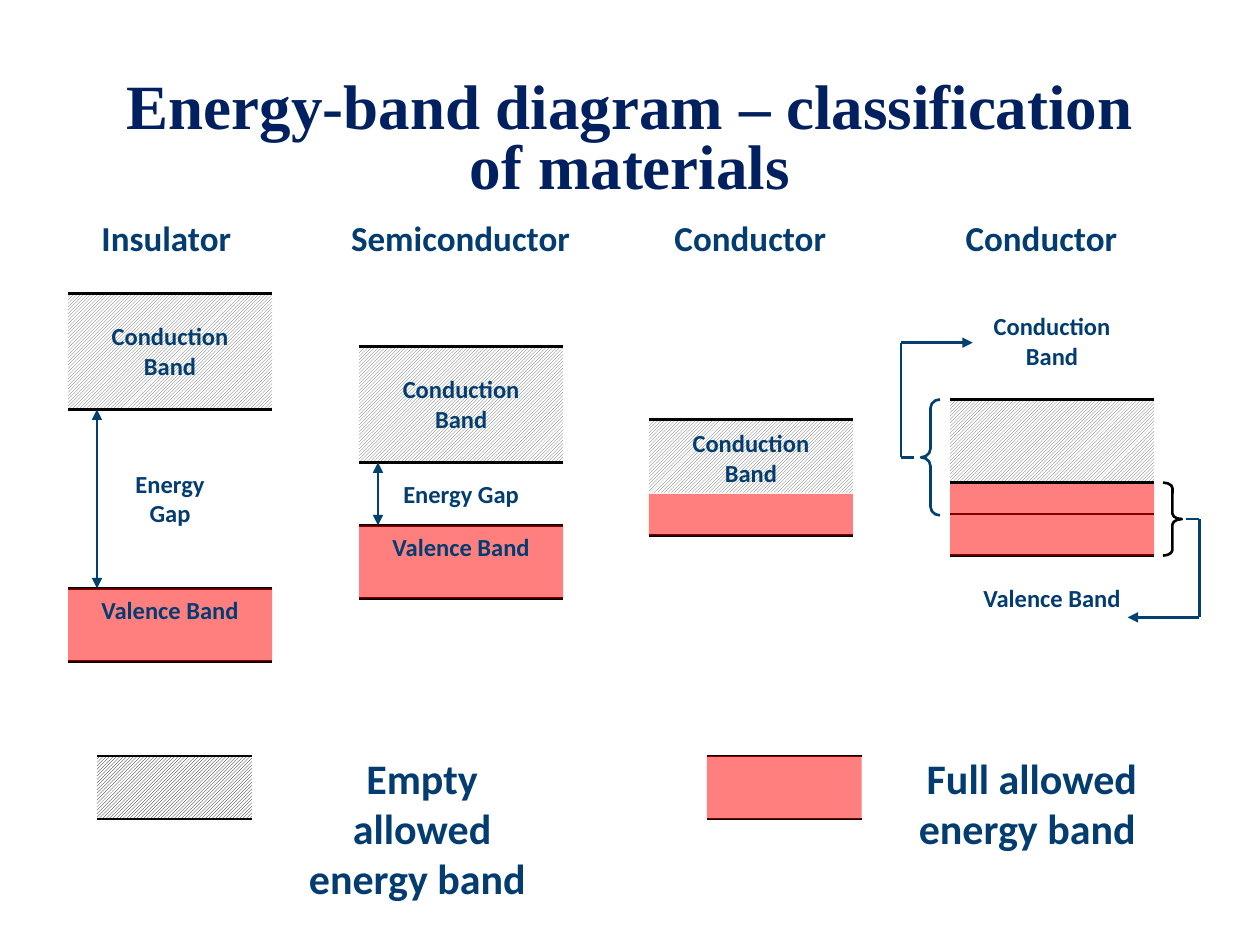
from itertools import pairwise

from lxml import etree
from pptx import Presentation
from pptx.dml.color import RGBColor
from pptx.enum.dml import MSO_PATTERN
from pptx.enum.shapes import MSO_CONNECTOR, MSO_SHAPE
from pptx.enum.text import MSO_ANCHOR, MSO_AUTO_SIZE, PP_ALIGN
from pptx.oxml.ns import qn
from pptx.util import Inches, Pt

STRAIGHT = MSO_CONNECTOR.STRAIGHT
RECTANGLE = MSO_SHAPE.RECTANGLE
LEFT_BRACE, RIGHT_BRACE = MSO_SHAPE.LEFT_BRACE, MSO_SHAPE.RIGHT_BRACE
HATCH = MSO_PATTERN.LIGHT_UPWARD_DIAGONAL
CENTER = PP_ALIGN.CENTER
MIDDLE, TOP = MSO_ANCHOR.MIDDLE, MSO_ANCHOR.TOP
GROW, FIXED = MSO_AUTO_SIZE.SHAPE_TO_FIT_TEXT, MSO_AUTO_SIZE.NONE

NAVY, LABEL, ARROW = "002060", "023C70", "004172"
BLACK, WHITE, GRAY, RED = "000000", "FFFFFF", "5F5F5F", "FF0000"

# Content
TITLE = "Energy-band diagram – classification of materials"
HEADINGS = [  # text, left, width
    ("Insulator", 0.54, 1.56),
    ("Semiconductor", 2.54, 2.23),
    ("Conductor", 5.15, 1.61),
    ("Conductor", 7.46, 1.61),
]
BAND_W, LABEL_W, LABEL_H = 1.62, 1.31, 0.57
CONDUCTION_H, VALENCE_H = 0.92, 0.58
GAPPED = [  # column left, conduction top, valence top, arrow x, gap label box
    (0.54, 2.33, 4.67, 0.77, (0.85, 3.67, 1, 0.57)),
    (2.85, 2.75, 4.17, 3.0, (2.85, 3.75, 1.62, 0.33)),
]
PARTLY_FILLED_X, OVERLAP_X = 5.15, 7.54
LEGEND_TOP, LEGEND_W, LEGEND_H = 6, 1.23, 0.5
LEGEND = [  # text, swatch left, text left, full band
    ("Empty allowed energy band ", 0.77, 2.31, False),
    ("Full allowed energy band ", 5.61, 7.15, True),
]

prs = Presentation()
prs.slide_width, prs.slide_height = Inches(10), Inches(7.5)
shapes = prs.slides.add_slide(prs.slide_layouts[6]).shapes


def rgb(value):
    return RGBColor.from_string(value)


def add_text(text, box, size, color=LABEL, font="Calibri", anchor=TOP,
             fit=GROW, spacing=None):
    frame = shapes.add_textbox(*map(Inches, box)).text_frame
    frame.word_wrap = True
    frame.auto_size = fit
    frame.vertical_anchor = anchor
    paragraph = frame.paragraphs[0]
    paragraph.alignment = CENTER
    paragraph.line_spacing = spacing
    run = paragraph.add_run()
    run.text = text
    run.font.size, run.font.bold, run.font.name = Pt(size), True, font
    run.font.color.rgb = rgb(color)


def add_line(start, end, color=BLACK, arrows=()):
    line = shapes.add_connector(STRAIGHT, *map(Inches, (*start, *end)))
    line.line.color.rgb = rgb(color)
    line.line.width = Pt(1.5)
    ln = line.line._get_or_add_ln()
    for arrow in arrows:
        etree.SubElement(ln, qn(f"a:{arrow}"), type="triangle")
    etree.SubElement(line._element.spPr, qn("a:effectLst"))


def add_edges(left, width, *levels):
    for y in levels:
        add_line((left, y), (left + width, y))


def add_route(*points):
    """Bent line whose last leg carries an arrowhead."""
    for start, end in pairwise(points):
        add_line(start, end, ARROW, ["tailEnd"] if end == points[-1] else [])


def add_block(left, top, width, height):
    block = shapes.add_shape(RECTANGLE, *map(Inches, (left, top, width, height)))
    block.shadow.inherit = False
    block.line.fill.background()
    return block


def add_empty_band(left, top, width, height, hatch_color=GRAY):
    fill = add_block(left, top, width, height).fill
    fill.patterned()
    fill.pattern = HATCH
    fill.fore_color.rgb, fill.back_color.rgb = rgb(hatch_color), rgb(WHITE)


def add_full_band(left, top, width, height):
    block = add_block(left, top, width, height)
    block.fill.solid()
    block.fill.fore_color.rgb = rgb(RED)
    color = block._element.spPr.find(qn("a:solidFill"))[0]
    etree.SubElement(color, qn("a:alpha"), val="50000")


def add_brace(kind, left, top, height, curve, color):
    brace = shapes.add_shape(kind, *map(Inches, (left, top, 0.15, height)))
    brace.shadow.inherit = False
    brace.fill.background()
    brace.line.color.rgb = rgb(color)
    brace.line.width = Pt(1.5)
    brace.adjustments[0] = curve


def add_band_label(text, column, top):
    inset = (BAND_W - LABEL_W) / 2
    add_text(text, (column + inset, top, LABEL_W, LABEL_H), 14)


# Title and column headings
add_text(TITLE, (0.75, 0.58, 8.5, 1.08), 36, NAVY, "Times New Roman",
         MIDDLE, FIXED, 0.8)
for heading, left, width in HEADINGS:
    add_text(heading, (left, 1.67, width, 0.43), 20)

# Insulator and semiconductor: bands separated by a gap
for left, conduction, valence, arrow_x, gap_box in GAPPED:
    conduction_end = conduction + CONDUCTION_H
    add_edges(left, BAND_W, valence, valence + VALENCE_H)
    add_full_band(left, valence, BAND_W, VALENCE_H)
    add_empty_band(left, conduction, BAND_W, CONDUCTION_H)
    add_edges(left, BAND_W, conduction, conduction_end)
    add_band_label("Valence Band", left, valence)
    add_band_label("Conduction Band", left, conduction + 0.17)
    add_text("Energy Gap", gap_box, 14)
    add_line((arrow_x, conduction_end), (arrow_x, valence), ARROW,
             ["headEnd", "tailEnd"])

# Conductor: partly filled conduction band
add_empty_band(PARTLY_FILLED_X, 3.33, BAND_W, 0.58)
add_edges(PARTLY_FILLED_X, BAND_W, 3.33, 4.25)
add_band_label("Conduction Band", PARTLY_FILLED_X, 3.35)
add_full_band(PARTLY_FILLED_X, 3.92, BAND_W, 0.33)

# Conductor: overlapping bands
add_edges(OVERLAP_X, BAND_W, 4.41)
add_empty_band(OVERLAP_X, 3.17, BAND_W, 0.67)
add_edges(OVERLAP_X, BAND_W, 3.17, 4.08)
add_band_label("Valence Band", OVERLAP_X, 4.58)
add_band_label("Conduction Band", OVERLAP_X, 2.42)
add_full_band(OVERLAP_X, 3.83, BAND_W, VALENCE_H)
add_edges(OVERLAP_X, BAND_W, 3.83)
add_brace(LEFT_BRACE, 7.31, 3.17, CONDUCTION_H, 0.458, ARROW)
add_brace(RIGHT_BRACE, 9.23, 3.83, VALENCE_H, 0.292, BLACK)
add_route((7.25, 3.63), (7.15, 3.63), (7.15, 2.72), (7.72, 2.72))
add_route((9.41, 4.12), (9.52, 4.12), (9.52, 4.9), (8.95, 4.9))

# Legend
for text, swatch_left, text_left, is_full in LEGEND:
    swatch = (swatch_left, LEGEND_TOP, LEGEND_W, LEGEND_H)
    if not is_full:
        add_empty_band(*swatch, BLACK)
    add_edges(swatch_left, LEGEND_W, LEGEND_TOP, LEGEND_TOP + LEGEND_H)
    if is_full:
        add_full_band(*swatch)
    add_text(text, (text_left, 5.92, 2.08, 0.7), 24)

prs.save("out.pptx")
